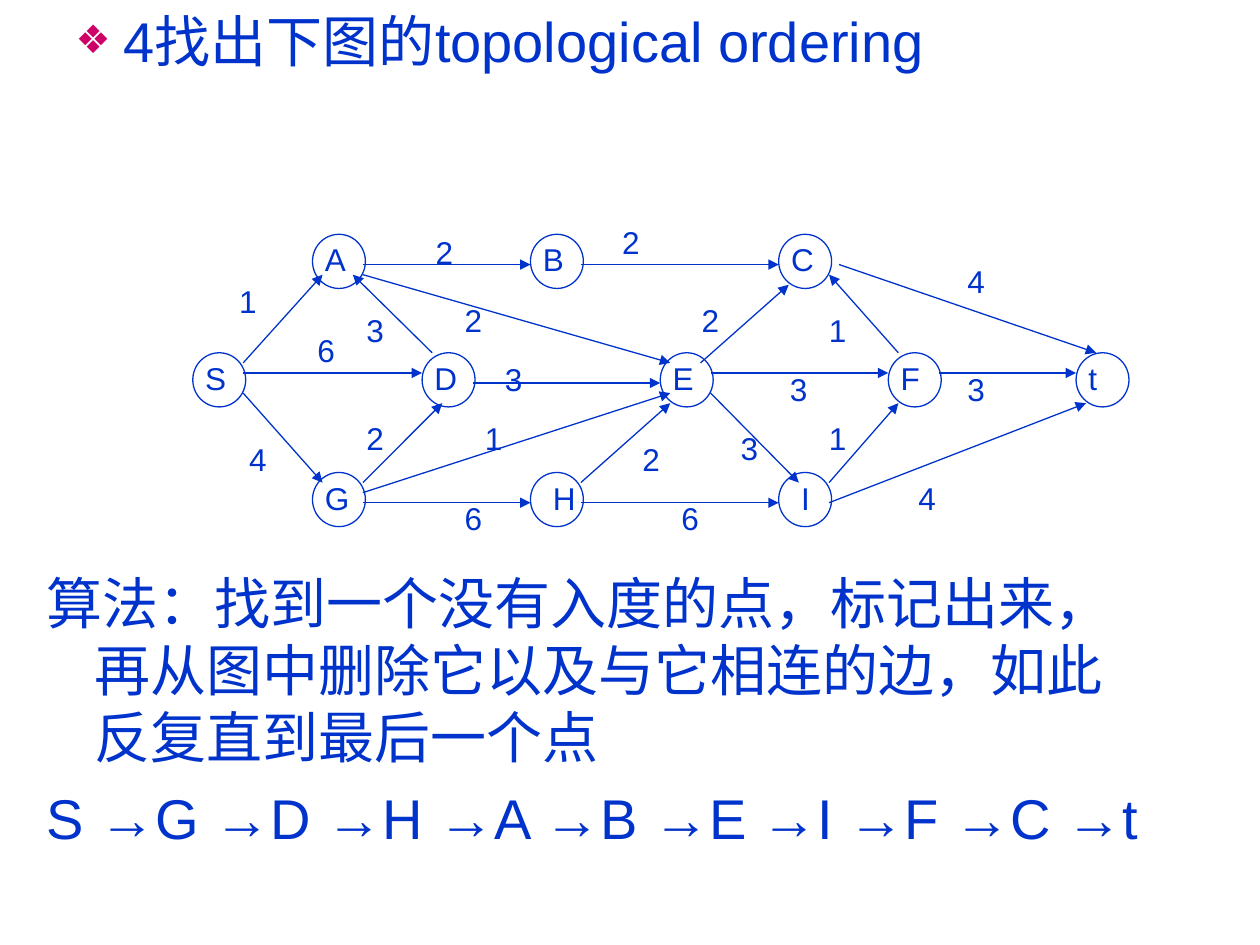
from dataclasses import dataclass

from lxml.etree import SubElement
from pptx import Presentation
from pptx.dml.color import RGBColor
from pptx.enum.shapes import MSO_CONNECTOR as Connector, MSO_SHAPE as Shape
from pptx.enum.text import MSO_ANCHOR as Anchor, MSO_AUTO_SIZE as AutoSize, PP_ALIGN as Align
from pptx.oxml.ns import qn
from pptx.util import Inches, Pt


@dataclass(frozen=True)
class Theme:
    ink: RGBColor = RGBColor(0x00, 0x33, 0xCC)
    bullet: str = "CC0066"
    font: str = "Arial"
    body: int = 32
    label: int = 18
    line: float = 0.75


THEME = Theme()
NODE_SIZE = (0.42, 0.43)
LABEL_SIZE = (0.47, 0.4)
PORT_STEP = 0.08
HANGING = 0.38

HEADING = "4找出下图的topological ordering"
ALGORITHM = "算法：找到一个没有入度的点，标记出来，再从图中删除它以及与它相连的边，如此反复直到最后一个点"
ORDER = "SGDHABEIFCt"

# Node: column and row of its top left corner within the graph.
TOP, MIDDLE, BOTTOM = 0.14, 1.08, 2.03
NODES = {
    "S": (0, MIDDLE), "A": (0.95, TOP), "G": (0.95, BOTTOM),
    "D": (1.82, MIDDLE), "B": (2.68, TOP), "H": (2.68, BOTTOM),
    "E": (3.71, MIDDLE), "C": (4.65, TOP), "I": (4.65, BOTTOM),
    "F": (5.52, MIDDLE), "t": (7.01, MIDDLE),
}
NODE_LABEL_SHIFT = {"H": 0.08, "I": 0.08}

# Edge: nodes, port on each node in port steps, weight, place of the weight.
EDGES = [
    ("SA", (5, 1), (1, 4), 1, (0.27, 0.47)),
    ("SG", (5, 4), (1, 1), 4, (0.35, 1.72)),
    ("SD", (5, 2), (0, 2), 6, (0.89, 0.86)),
    ("AB", (5, 3), (0, 3), 2, (1.83, 0.08)),
    ("DA", (1, 0), (4, 4), 3, (1.28, 0.7)),
    ("BC", (5, 3), (0, 3), 2, (3.31, 0)),
    ("AE", (5, 4), (1, 1), 2, (2.06, 0.62)),
    ("DE", (5, 3), (0, 3), 3, (2.38, 1.09)),
    ("GD", (5, 1), (2, 5), 2, (1.28, 1.56)),
    ("GE", (5, 2), (1, 4), 1, (2.22, 1.56)),
    ("GH", (5, 3), (0, 3), 6, (2.06, 2.19)),
    ("HE", (5, 1), (1, 5), 2, (3.47, 1.72)),
    ("HI", (5, 3), (0, 3), 6, (3.78, 2.19)),
    ("EI", (5, 4), (2, 1), 3, (4.25, 1.64)),
    ("EC", (4, 1), (1, 5), 2, (3.94, 0.62)),
    ("EF", (5, 2), (0, 2), 3, (4.64, 1.17)),
    ("IF", (5, 1), (1, 5), 1, (4.95, 1.56)),
    ("FC", (1, 0), (5, 4), 1, (4.95, 0.7)),
    ("Ct", (6, 3), (2, 0), 4, (6.05, 0.31)),
    ("Ft", (5, 2), (0, 2), 3, (6.05, 1.17)),
    ("It", (5, 3), (1, 5), 4, (5.66, 2.03)),
]


def add_span(para, text, size):
    span = para.add_run()
    span.text = text
    span.font.name = THEME.font
    span.font.size = Pt(size)
    span.font.color.rgb = THEME.ink


def set_hanging(para):
    properties = para._p.get_or_add_pPr()
    properties.set("marL", str(Inches(HANGING)))
    properties.set("indent", str(-Inches(HANGING)))
    return properties


def add_bullet(para, char):
    properties = set_hanging(para)
    color = SubElement(properties, qn("a:buClr"))
    SubElement(color, qn("a:srgbClr"), val=THEME.bullet)
    SubElement(properties, qn("a:buSzPct"), val="70000")
    SubElement(properties, qn("a:buFont"), typeface=THEME.font)
    SubElement(properties, qn("a:buChar"), char=char)


def add_label(shapes, left, top, text):
    box = shapes.add_textbox(Inches(left), Inches(top), *map(Inches, LABEL_SIZE))
    box.text_frame.word_wrap = True
    add_span(box.text_frame.paragraphs[0], text, THEME.label)


def add_node(shapes, left, top, name):
    circle = shapes.add_shape(Shape.OVAL, Inches(left), Inches(top), *map(Inches, NODE_SIZE))
    circle.shadow.inherit = False
    circle.fill.background()
    circle.line.color.rgb = THEME.ink
    circle.line.width = Pt(THEME.line)
    add_label(shapes, left + NODE_LABEL_SHIFT.get(name, 0), top, name)


def add_arrow(shapes, start, end):
    arrow = shapes.add_connector(Connector.STRAIGHT, *map(Inches, start + end))
    arrow.line.color.rgb = THEME.ink
    arrow.line.width = Pt(THEME.line)
    SubElement(arrow.line._get_or_add_ln(), qn("a:tailEnd"), type="triangle")
    SubElement(arrow._element.spPr, qn("a:effectLst"))


def add_heading(page, left, top, width, height):
    title = page.shapes.title
    title.left, title.top, title.width, title.height = map(Inches, (left, top, width, height))
    frame = title.text_frame
    frame.word_wrap = True
    frame.auto_size = AutoSize.NONE
    frame.vertical_anchor = Anchor.TOP
    para = frame.paragraphs[0]
    para.alignment = Align.LEFT
    add_bullet(para, "❖")
    add_span(para, HEADING, THEME.body)


def add_graph(page, left, top):
    def port(name, steps):
        column, row = NODES[name]
        return (left + column + steps[0] * PORT_STEP, top + row + steps[1] * PORT_STEP)

    shapes = page.shapes.add_group_shape().shapes
    for name, (column, row) in NODES.items():
        add_node(shapes, left + column, top + row, name)
    for (source, target), leaving, entering, weight, (across, down) in EDGES:
        add_arrow(shapes, port(source, leaving), port(target, entering))
        add_label(page.shapes, left + across, top + down, str(weight))


def add_solution(page, left, top, width, height):
    box = page.shapes.add_textbox(*map(Inches, (left, top, width, height)))
    frame = box.text_frame
    frame.word_wrap = True
    steps = frame.paragraphs[0]
    order = frame.add_paragraph()
    order.space_before = Pt(8)
    for para, text in ((steps, ALGORITHM), (order, " →".join(ORDER))):
        set_hanging(para)
        add_span(para, text, THEME.body)


def main():
    deck = Presentation()
    deck.slide_width, deck.slide_height = Inches(10), Inches(7.5)
    page = deck.slides.add_slide(deck.slide_layouts.get_by_name("Title Only"))
    add_heading(page, 0.5, 0, 9, 1.31)
    add_graph(page, 1.53, 1.72)
    add_solution(page, 0.27, 4.46, 9, 3.04)
    deck.save("out.pptx")


if __name__ == "__main__":
    main()
